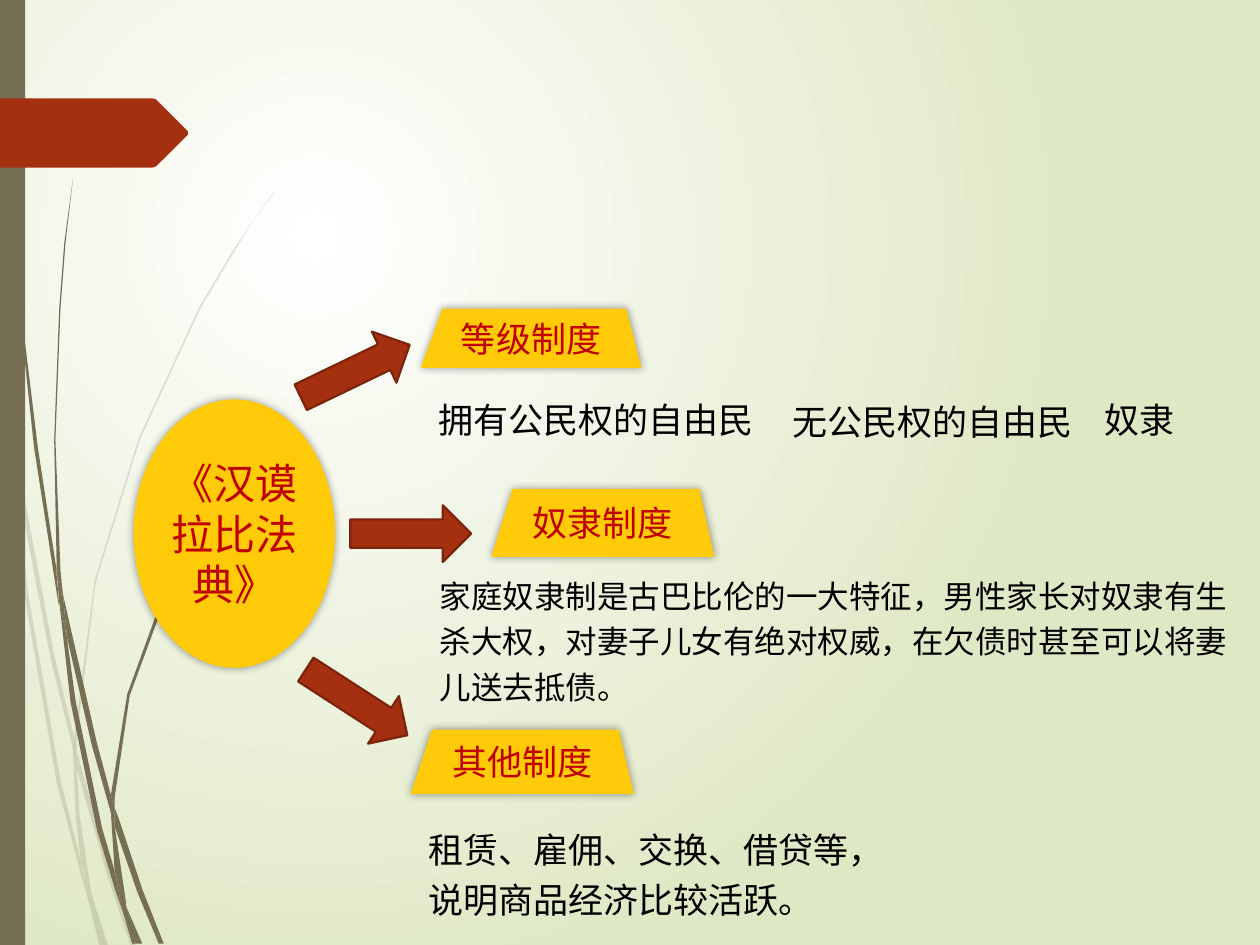
from dataclasses import dataclass
from typing import Any

from lxml import etree
from pptx import Presentation
from pptx.dml.color import RGBColor
from pptx.enum.shapes import MSO_SHAPE
from pptx.enum.text import MSO_ANCHOR, MSO_AUTO_SIZE, PP_ALIGN
from pptx.oxml.ns import qn
from pptx.util import Cm, Pt

OVAL = MSO_SHAPE.OVAL
RECTANGLE = MSO_SHAPE.RECTANGLE
RIGHT_ARROW = MSO_SHAPE.RIGHT_ARROW
CENTER = PP_ALIGN.CENTER
LEFT = PP_ALIGN.LEFT
MIDDLE = MSO_ANCHOR.MIDDLE
TOP = MSO_ANCHOR.TOP
FIT_TEXT = MSO_AUTO_SIZE.SHAPE_TO_FIT_TEXT

COLORS = {
    "white": "FFFFFF", "pale green": "DFE8C4", "olive": "766F54", "rust": "A53010",
    "dark rust": "7A240C", "gold": "FFCA08", "red": "C00000", "black": "000000",
}
FONT = "Noto Sans CJK SC"
UNIT_CM = 0.0254  # the slide is a grid of 1000 by 750 units

# Outlines of the grass pieces: x, y, x, y ... in grid units
PALE_GRASS = [
    (8, 350, 6, 322, 0, 282, 0, 299, 7, 344),
    (40, 522, 59, 599, 59, 586, 43, 520, 10, 345, 12, 376),
    (64, 607, 61, 596, 61, 610, 85, 694, 104, 751, 108, 751, 88, 692),
    (83, 751, 86, 751, 73, 711),
    (64, 683, 48, 619, 22, 469, 12, 376, 8, 350, 19, 470, 45, 621, 64, 693, 70, 714, 69, 707),
    (58, 599, 60, 646, 64, 683, 67, 692, 73, 711, 72, 706, 63, 646, 61, 610, 61, 608),
    (61, 584, 76, 462, 111, 349, 159, 245, 187, 198, 201, 175, 217, 154, 217, 153,
     201, 175, 186, 197, 158, 244, 110, 348, 75, 461, 59, 584, 59, 586, 61, 596),
    (70, 714, 79, 751, 82, 751),
    (61, 608, 61, 610, 61, 596, 59, 586, 58, 599),
    (67, 692, 65, 683, 69, 707, 70, 714, 82, 751, 83, 751, 73, 711),
]
DARK_GRASS = [
    (5, 110, 14, 233, 27, 355, 46, 477, 47, 481, 45, 457, 45, 453, 30, 355, 15, 232,
     6, 109, 4, 48, 3, 0, 2, 0, 3, 48),
    (73, 592, 88, 645, 88, 633, 88, 631, 77, 590, 50, 472, 53, 505),
    (94, 649, 91, 641, 91, 656, 109, 708, 126, 749, 130, 749, 113, 706),
    (91, 691, 81, 657, 60, 556, 53, 505, 47, 477, 56, 557, 77, 659, 92, 708, 97, 722, 96, 717),
    (50, 472, 48, 453, 44, 349, 48, 245, 52, 193, 58, 141, 57.5, 141, 51, 193, 47, 245,
     43, 349, 45, 449, 49, 472),
    (110, 749, 113, 749, 100, 719),
    (47, 477, 53, 505, 50, 472, 49, 472, 45, 449, 45, 453),
    (91, 633, 103, 552, 131, 476, 169, 406, 191, 374, 203, 359, 216, 344, 215, 344,
     203, 358, 191, 373, 168, 405, 129, 474, 101, 551, 88, 631, 91, 641),
    (97, 722, 105, 749, 108, 749),
    (88, 645, 91, 691, 96, 706, 100, 719, 100, 716, 91, 656, 90, 651),
    (88, 645, 90, 651, 91, 656, 91, 641, 88, 631, 88, 633),
    (96, 706, 91, 691, 96, 717, 97, 722, 108, 749, 110, 749, 100, 719),
]
RIBBON = (0, 78, 121, 78, 124, 79, 149, 104, 149, 107, 124, 132, 121, 133, 0, 133)


def grid(units):
    return Cm(units * UNIT_CM)


def rgb(name):
    return RGBColor.from_string(COLORS[name])


def add_element(parent, tag, **attributes):
    element = etree.SubElement(parent, qn(tag))
    for key, value in attributes.items():
        element.set(key, str(value))
    return element


def write_text(shape, text, size=20, color="black", align=LEFT, anchor=TOP, spacing=1.0):
    frame = shape.text_frame
    frame.word_wrap = True
    frame.vertical_anchor = anchor
    paragraph = frame.paragraphs[0]
    paragraph.alignment = align
    paragraph.line_spacing = spacing
    run = paragraph.add_run()
    run.text = text
    run.font.size = Pt(size)
    run.font.color.rgb = rgb(color)
    run.font.name = FONT
    add_element(run.font._element, "a:ea", typeface=FONT)
    return frame


@dataclass
class SlideBuilder:
    slide: Any
    label_fill: str = "gold"
    label_color: str = "red"

    def background(self, inner, outer):
        fill = self.slide.background.fill
        fill.gradient()
        for stop, color, position in zip(fill.gradient_stops, (inner, outer), (0, 1)):
            stop.color.rgb = rgb(color)
            stop.position = position
        gradient = self.slide.background._cSld.find(".//" + qn("a:gradFill"))
        gradient.remove(gradient.find(qn("a:lin")))
        path = add_element(gradient, "a:path", path="circle")
        add_element(path, "a:fillToRect", l=50000, t=50000, r=100000, b=100000)

    def paint(self, shape, fill, line=None, opacity=100):
        shape.shadow.inherit = False
        shape.fill.solid()
        shape.fill.fore_color.rgb = rgb(fill)
        if opacity < 100:
            color = shape._element.spPr.find(".//" + qn("a:srgbClr"))
            add_element(color, "a:alpha", val=opacity * 1000)
        if line:
            shape.line.color.rgb = rgb(line)
            shape.line.width = Pt(1.25)
        else:
            shape.line.fill.background()
        return shape

    def preset(self, kind, left, top, width, height, fill, line=None):
        shape = self.slide.shapes.add_shape(kind, *map(grid, (left, top, width, height)))
        return self.paint(shape, fill, line)

    def outline(self, numbers, fill, opacity=100, shapes=None):
        points = list(zip(numbers[::2], numbers[1::2]))
        builder = (shapes or self.slide.shapes).build_freeform(*points[0], scale=grid(1))
        builder.add_line_segments(points[1:], close=True)
        return self.paint(builder.convert_to_shape(), fill, opacity=opacity)

    def grass(self, pieces, opacity=100):
        group = self.slide.shapes.add_group_shape()
        for piece in pieces:
            self.outline(piece, "olive", opacity, group.shapes)

    def label(self, shape, text, size=20):
        effects = shape._element.spPr.find(qn("a:effectLst"))
        shadow = add_element(effects, "a:outerShdw", blurRad=Pt(5), dist=0, dir=0)
        color = add_element(shadow, "a:srgbClr", val=COLORS["black"])
        add_element(color, "a:alpha", val=40000)
        return write_text(shape, text, size=size, color=self.label_color,
                          align=CENTER, anchor=MIDDLE)

    def oval(self, text, left, top, width, height):
        frame = self.label(self.preset(OVAL, left, top, width, height, self.label_fill), text, 24)
        frame.margin_left = frame.margin_right = frame.margin_top = frame.margin_bottom = 0

    def trapezoid(self, text, left, top, width, height):
        right, bottom = left + width, top + height
        corners = (left + 17, top, right - 12, top, right, bottom, left, bottom)
        self.label(self.outline(corners, self.label_fill), text)

    def text(self, text, left, top, width, height, size=20):
        box = self.slide.shapes.add_textbox(*map(grid, (left, top, width, height)))
        write_text(box, text, size=size, spacing=1.2).auto_size = FIT_TEXT

    def arrow(self, left, top, rotation):
        self.preset(RIGHT_ARROW, left, top, 96, 45, "rust", "dark rust").rotation = rotation


def main():
    presentation = Presentation()
    presentation.slide_width, presentation.slide_height = grid(1000), grid(750)
    builder = SlideBuilder(presentation.slides.add_slide(presentation.slide_layouts[6]))

    # Backdrop: gradient, grass, side bar and ribbon
    builder.background("white", "pale green")
    builder.grass(PALE_GRASS, opacity=20)
    builder.grass(DARK_GRASS)
    builder.preset(RECTANGLE, 0, 0, 20, 750, "olive")
    builder.outline(RIBBON, "rust")

    # The code and its three systems
    builder.oval("《汉谟拉比法典》", 106, 317, 160, 213)
    builder.trapezoid("等级制度", 334, 245, 175, 47)
    builder.trapezoid("奴隶制度", 390, 388, 177, 54)
    builder.trapezoid("其他制度", 326, 579, 177, 51)

    # Explanations
    builder.text("拥有公民权的自由民", 338, 305, 281, 51)
    builder.text("无公民权的自由民", 619, 306, 244, 51)
    builder.text("奴隶", 867, 305, 102, 51)
    builder.text("家庭奴隶制是古巴比伦的一大特征，男性家长对奴隶有生杀大权，"
                 "对妻子儿女有绝对权威，在欠债时甚至可以将妻儿送去抵债。",
                 339, 447, 661, 114, size=18)
    builder.text("租赁、雇佣、交换、借贷等，说明商品经济比较活跃。", 330, 646, 383, 85)

    # Arrows from the code to each system
    for left, top, rotation in ((234, 272, 334.3), (278, 401, 0), (235, 535, 32.9)):
        builder.arrow(left, top, rotation)

    presentation.save("out.pptx")


if __name__ == "__main__":
    main()
